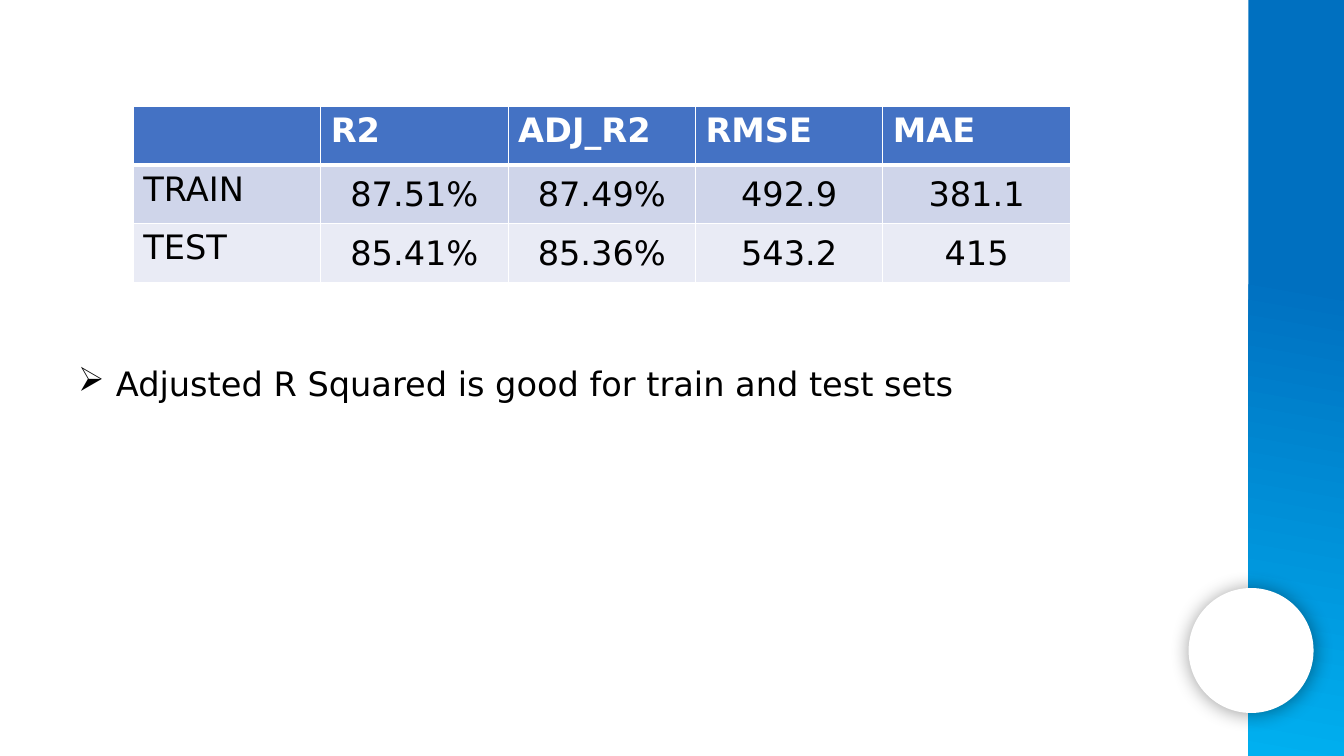
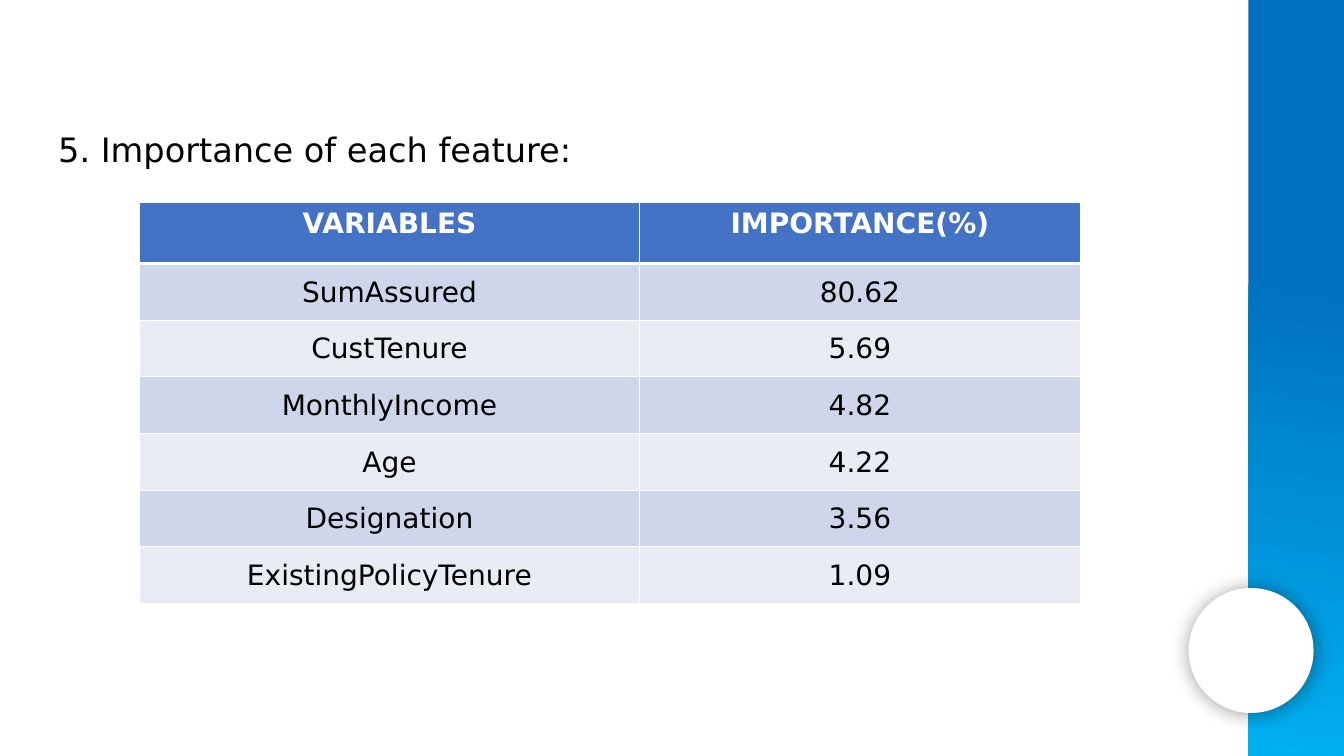
from lxml.etree import SubElement as Sub
from pptx import Presentation
from pptx.dml.color import RGBColor
from pptx.enum.shapes import MSO_SHAPE as Shape
from pptx.enum.text import MSO_ANCHOR as Anchor, MSO_AUTO_SIZE as Auto, PP_ALIGN as Align
from pptx.oxml.ns import qn
from pptx.util import Emu, Pt

PX = 9525
FONT = "DejaVu Sans"
WHITE, BLACK = "FFFFFF", "000000"
HEAD, BANDS = "4472C4", ["CFD5EA", "E9EBF5"]
TOP, BASE = "0070C0", "00B0F0"
WIDE, HIGH = 1280, 720
rgb = RGBColor.from_string


def write(frame, text, size=24, color=BLACK, bold=False, align=Align.LEFT, bullet=None):
    line = frame.paragraphs[0]
    line.alignment = align
    if bullet:
        props = line._p.get_or_add_pPr()
        props.set("marL", str(36 * PX))
        props.set("indent", str(-36 * PX))
        Sub(props, qn("a:buChar"), char=bullet)
    if text:
        run = line.add_run()
        run.text = text
        font = run.font
        font.name, font.size, font.bold = FONT, Pt(size), bold
        font.color.rgb = rgb(color)


def paint(cell, fill, **lines):
    props = cell._tc.get_or_add_tcPr()
    for side in "LRTB":
        line = Sub(props, qn("a:ln" + side), w=str(Pt(lines.get(side, 1))))
        Sub(Sub(line, qn("a:solidFill")), qn("a:srgbClr"), val=WHITE)
    cell.fill.solid()
    cell.fill.fore_color.rgb = rgb(fill)


pages = [
    {
        "text": "Adjusted R Squared is good for train and test sets",
        "box": (65, 341, 1038, 48),
        "bullet": "➢",
        "at": (127, 101),
        "cols": [178.5] * 5,
        "rows": [56] * 3,
        "size": 24,
        "left": True,
        "data": [
            ["", "R2", "ADJ_R2", "RMSE", "MAE"],
            ["TRAIN", "87.51%", "87.49%", "492.9", "381.1"],
            ["TEST", "85.41%", "85.36%", "543.2", "415"],
        ],
    },
    {
        "text": "5. Importance of each feature:",
        "box": (46, 118, 1118, 48),
        "bullet": None,
        "at": (133, 193),
        "cols": [476, 420],
        "rows": [58] + [54] * 6,
        "size": 20,
        "left": False,
        "data": [
            ["VARIABLES", "IMPORTANCE(%)"],
            ["SumAssured", "80.62"],
            ["CustTenure", "5.69"],
            ["MonthlyIncome", "4.82"],
            ["Age", "4.22"],
            ["Designation", "3.56"],
            ["ExistingPolicyTenure", "1.09"],
        ],
    },
]

deck = Presentation()
deck.slide_width, deck.slide_height = Emu(WIDE * PX), Emu(HIGH * PX)

for page in pages:
    shapes = deck.slides.add_slide(deck.slide_layouts[6]).shapes

    band = shapes.add_shape(Shape.RECTANGLE, *[Emu(n * PX) for n in (1189, 0, WIDE - 1189, HIGH)])
    band.fill.gradient()
    band.fill.gradient_angle = 260
    for stop, spot, color in zip(band.fill.gradient_stops, (0.37, 1), (TOP, BASE)):
        stop.position = spot
        stop.color.rgb = rgb(color)

    disc = shapes.add_shape(Shape.OVAL, *[Emu(n * PX) for n in (1132, 560, 119, 119)])
    disc.fill.solid()
    disc.fill.fore_color.rgb = rgb(WHITE)
    for shape in (band, disc):
        shape.line.fill.background()
        shape.shadow.inherit = False
    glow = Sub(disc._element.spPr.find(qn("a:effectLst")), qn("a:outerShdw"),
               blurRad=str(Pt(14)), dist=str(Pt(1)), dir=str(43 * 60000))
    tint = Sub(glow, qn("a:srgbClr"), val=BLACK)
    Sub(tint, qn("a:alpha"), val="40000")

    frame = shapes.add_textbox(*[Emu(n * PX) for n in page["box"]]).text_frame
    frame.word_wrap = True
    frame.auto_size = Auto.SHAPE_TO_FIT_TEXT
    write(frame, page["text"], bullet=page["bullet"])

    cols, rows, data = page["cols"], page["rows"], page["data"]
    spot = (*page["at"], sum(cols), sum(rows))
    table = shapes.add_table(len(rows), len(cols), *[Emu(int(n * PX)) for n in spot]).table
    for col, width in zip(table.columns, cols):
        col.width = Emu(int(width * PX))
    for r, height in enumerate(rows):
        table.rows[r].height = Emu(height * PX)
        for c, text in enumerate(data[r]):
            cell = table.cell(r, c)
            head = r == 0
            plain = page["left"] and (head or c == 0)
            if head:
                paint(cell, HEAD, B=3)
            else:
                paint(cell, BANDS[(r - 1) % 2], T=3 if r == 1 else 1)
                if not plain:
                    cell.vertical_anchor = Anchor.MIDDLE
                    cell.margin_left = cell.margin_top = cell.margin_right = Emu(PX)
                    cell.margin_bottom = Emu(0)
            write(cell.text_frame, text, size=page["size"], color=WHITE if head else BLACK,
                  bold=head, align=Align.LEFT if plain else Align.CENTER)

deck.save("out.pptx")
